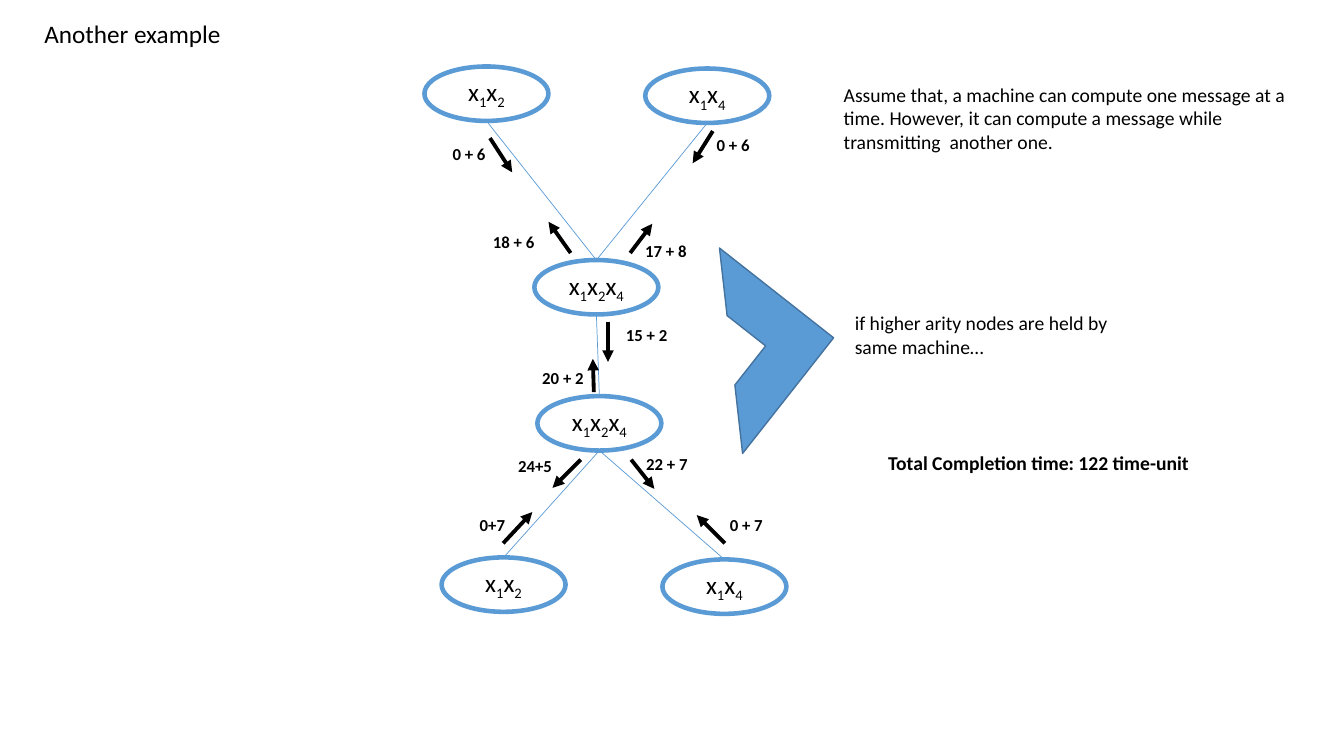
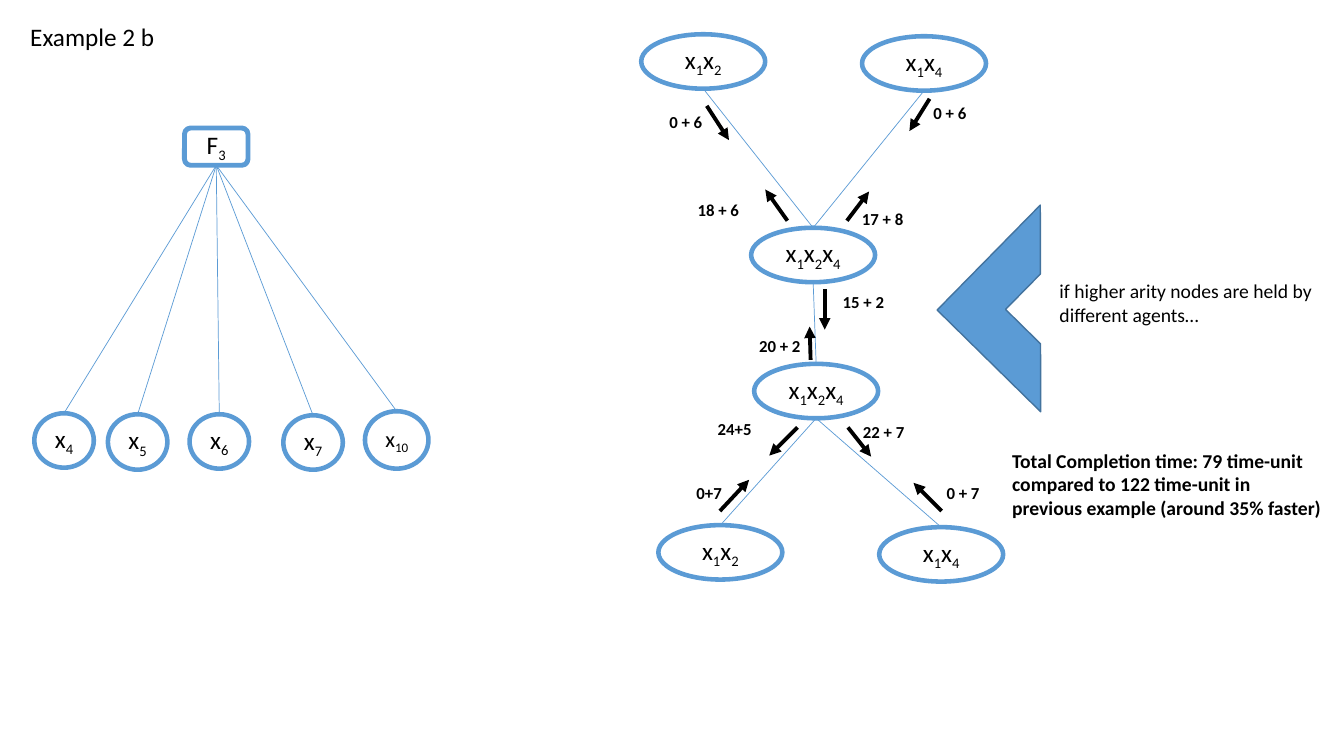
"""Build two slides that compare message schedules on a node graph."""
from itertools import groupby

from lxml import etree
from pptx import Presentation
from pptx.dml.color import RGBColor
from pptx.enum import shapes, text
from pptx.oxml import ns
from pptx.util import Inches, Pt

BLUE = RGBColor(0x5B, 0x9B, 0xD5)
DARK_BLUE = RGBColor(0x43, 0x73, 0x9E)
BLACK = RGBColor(0, 0, 0)
WHITE = RGBColor(255, 255, 255)
FONT = "Calibri"
NODE_W, NODE_H = 1.23, 0.54
OVAL = shapes.MSO_SHAPE.OVAL

NODES = {
    "top left": ("x1x2", 4.21, 0.66),
    "top right": ("x1x4", 6.4, 0.68),
    "upper hub": ("x1x2x4", 5.3, 2.58),
    "lower hub": ("x1x2x4", 5.33, 3.93),
    "bottom left": ("x1x2", 4.38, 5.53),
    "bottom right": ("x1x4", 6.57, 5.55),
}
EDGES = [
    ("top left", "upper hub"),
    ("top right", "upper hub"),
    ("upper hub", "lower hub"),
    ("lower hub", "bottom left"),
    ("lower hub", "bottom right"),
]
MESSAGES = [
    ("0 + 6", (4.39, 1.38), (4.86, 1.37), (5.08, 1.71)),
    ("0 + 6", (7.01, 1.29), (7.07, 1.3), (6.87, 1.62)),
    ("18 + 6", (4.79, 2.25), (5.66, 2.51), (5.44, 2.2)),
    ("17 + 8", (6.3, 2.34), (6.25, 2.51), (6.47, 2.22)),
    ("15 + 2", (6.11, 3.17), (6.03, 3.19), (6.03, 3.59)),
    ("20 + 2", (5.28, 3.6), (5.89, 3.89), (5.88, 3.56)),
    ("24+5", (5.04, 4.47), (5.76, 4.56), (5.48, 4.84)),
    ("22 + 7", (6.31, 4.45), (6.26, 4.56), (6.49, 4.85)),
    ("0+7", (4.66, 5.06), (4.99, 5.39), (5.28, 5.08)),
    ("0 + 7", (7.14, 5.06), (7.19, 5.39), (6.91, 5.11)),
]
LEAVES = [
    ("x4", 0.34, 4.1, 0.59, 0.54, 18),
    ("x5", 1.07, 4.11, 0.59, 0.55, 18),
    ("x6", 1.88, 4.11, 0.59, 0.54, 18),
    ("x7", 2.81, 4.12, 0.59, 0.54, 18),
    ("x10", 3.62, 4.08, 0.63, 0.57, 16),
]


def add_run(p, content, size, bold=False):
    """Append a formatted black run to a paragraph and return it."""
    r = p.add_run()
    r.text = content
    r.font.name = FONT
    r.font.size = Pt(size)
    r.font.bold = bold
    r.font.color.rgb = BLACK
    return r


def add_titled_slide(prs, title, left, top):
    """Add a title-only slide with a small left-aligned title."""
    s = prs.slides.add_slide(prs.slide_layouts[5])
    sp = s.shapes.title
    sp.left, sp.top = Inches(left), Inches(top)
    sp.width, sp.height = Inches(12.13), Inches(0.4)
    tf = sp.text_frame
    tf.vertical_anchor = text.MSO_ANCHOR.TOP
    tf.auto_size = text.MSO_AUTO_SIZE.NONE
    p = tf.paragraphs[0]
    p.alignment = text.PP_ALIGN.LEFT
    add_run(p, title, 18)
    return s


def add_text(s, content, left, top, width, height, size=14, bold=False):
    """Add a wrapped text box."""
    sp = s.shapes.add_textbox(Inches(left), Inches(top), Inches(width), Inches(height))
    tf = sp.text_frame
    tf.word_wrap = True
    add_run(tf.paragraphs[0], content, size, bold)


def add_shape(s, kind, left, top, width, height, fill, line, weight):
    """Add a filled and outlined preset shape without a shadow."""
    sp = s.shapes.add_shape(kind, Inches(left), Inches(top), Inches(width), Inches(height))
    sp.shadow.inherit = False
    sp.fill.solid()
    sp.fill.fore_color.rgb = fill
    sp.line.color.rgb = line
    sp.line.width = Pt(weight)
    return sp


def add_node(s, label, left, top, width=NODE_W, height=NODE_H, size=18, kind=OVAL, weight=3.25):
    """Add a white node whose label has its digits as subscripts."""
    sp = add_shape(s, kind, left, top, width, height, WHITE, BLUE, weight)
    tf = sp.text_frame
    tf.word_wrap = False
    tf.vertical_anchor = text.MSO_ANCHOR.MIDDLE
    p = tf.paragraphs[0]
    p.alignment = text.PP_ALIGN.CENTER
    for is_digit, chars in groupby(label, str.isdigit):
        r = add_run(p, "".join(chars), size)
        if is_digit:
            r._r.get_or_add_rPr().set("baseline", "-25000")
    return sp


def add_line(s, start, end, color, weight):
    """Add a straight connector between two points in EMU."""
    c = s.shapes.add_connector(shapes.MSO_CONNECTOR.STRAIGHT, *start, *end)
    c.line.color.rgb = color
    c.line.width = Pt(weight)
    etree.SubElement(c._element.spPr, ns.qn("a:effectLst"))
    return c


def add_arrow(s, start, end):
    """Add a thick black arrow between two points in inches."""
    c = add_line(s, map(Inches, start), map(Inches, end), BLACK, 2.75)
    ln = c._element.spPr.find(ns.qn("a:ln"))
    etree.SubElement(ln, ns.qn("a:tailEnd"), type="triangle")


def add_edge(s, upper, lower):
    """Join the bottom of one node to the top of another."""
    start = (upper.left + upper.width // 2, upper.top + upper.height)
    end = (lower.left + lower.width // 2, lower.top)
    c = add_line(s, start, end, BLUE, 0.5)
    if upper.auto_shape_type != OVAL:
        c.begin_connect(upper, 2)
    c.end_connect(lower, 0)


def add_message_graph(s, dx=0, dy=0, nudges=None):
    """Add the six-node graph with its messages, moved by dx and dy."""
    nodes = {name: add_node(s, label, x + dx, y + dy) for name, (label, x, y) in NODES.items()}
    for upper, lower in EDGES:
        add_edge(s, nodes[upper], nodes[lower])
    for label, (x, y), start, end in MESSAGES:
        nx, ny = (nudges or {}).get(label, (0, 0))
        add_text(s, label, x + dx + nx, y + dy + ny, 0.83, 0.3, 12, True)
        add_arrow(s, (start[0] + dx, start[1] + dy), (end[0] + dx, end[1] + dy))


def add_factor_tree(s):
    """Add the factor node and its row of variables."""
    factor = add_node(s, "F3", 1.83, 1.27, 0.63, 0.37,
                      kind=shapes.MSO_SHAPE.ROUNDED_RECTANGLE, weight=3.5)
    for leaf in LEAVES:
        add_edge(s, factor, add_node(s, *leaf))


def add_chevron(s, left, top, rotation):
    """Add a rotated half frame that points sideways."""
    sp = add_shape(s, shapes.MSO_SHAPE.HALF_FRAME, left, top, 1.46, 1.44, BLUE, DARK_BLUE, 1)
    sp.rotation = rotation


def build_same_machine(prs):
    """Build the slide where one machine holds both hubs."""
    s = add_titled_slide(prs, "Another example", 0.34, 0.13)
    add_message_graph(s)
    add_chevron(s, 6.52, 2.76, 128.2)
    add_text(s, "Assume that, a machine can compute one message at a time. However, "
             "it can compute a message while transmitting  another one.", 8.27, 0.77, 4.9, 0.81)
    add_text(s, "if higher arity nodes are held by same machine…", 8.38, 3.04, 3.07, 0.57)
    add_text(s, "Total Completion time: 122 time-unit", 8.71, 4.42, 3.85, 0.34, bold=True)


def build_different_agents(prs):
    """Build the slide where different agents hold the hubs."""
    s = add_titled_slide(prs, "Example 2 b", 0.2, 0.16)
    add_factor_tree(s)
    add_message_graph(s, 2.15, -0.32, {"18 + 6": (-0.12, 0), "24+5": (-0.17, -0.04)})
    add_chevron(s, 9.59, 2.34, 314.5)
    add_text(s, "if higher arity nodes are held by different agents…", 10.41, 2.72, 3.07, 0.57)
    add_text(s, "Total Completion time: 79 time-unit compared to 122 time-unit in "
             "previous example (around 35% faster)", 9.94, 4.4, 3.27, 0.81, bold=True)


def main():
    """Build and save the presentation."""
    prs = Presentation()
    prs.slide_width, prs.slide_height = Inches(13.33), Inches(7.5)
    build_same_machine(prs)
    build_different_agents(prs)
    prs.save("out.pptx")


if __name__ == "__main__":
    main()
